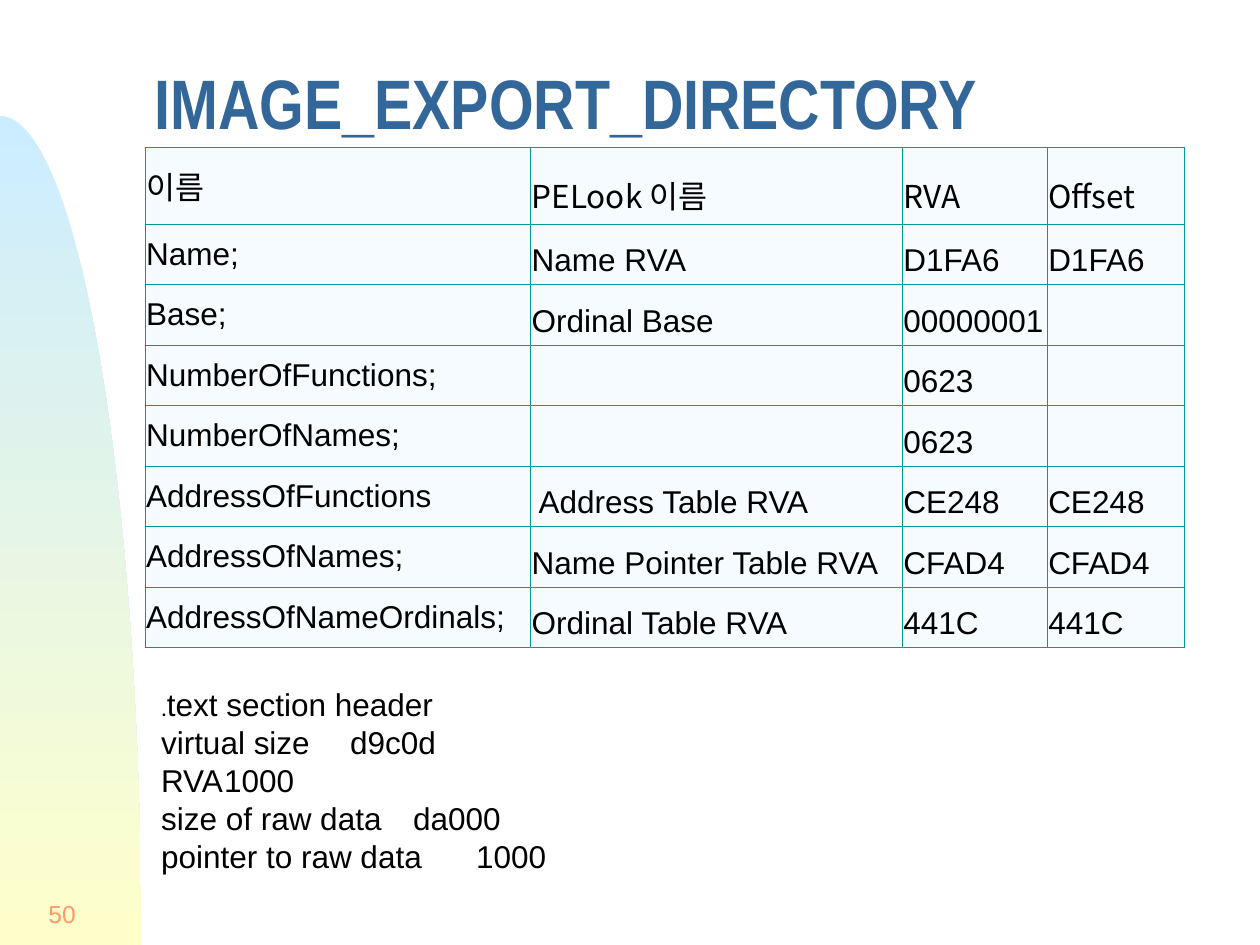
import math

import pptx
import pptx.util
import pptx.dml.color
import pptx.enum.text
import pptx.oxml
import pptx.oxml.ns
from pptx.util import Inches

# Content
TITLE = "IMAGE_EXPORT_DIRECTORY"
PAGE_NUMBER = "50"
HEADER = ("이름", "PELook 이름", "RVA", "Offset")
FIELDS = [
    ("Name;", "Name RVA", "D1FA6", "D1FA6"),
    ("Base;", "Ordinal Base", "00000001", ""),
    ("NumberOfFunctions;", "", "0623", ""),
    ("NumberOfNames;", "", "0623", ""),
    ("AddressOfFunctions", " Address Table RVA", "CE248", "CE248"),
    ("AddressOfNames;", "Name Pointer Table RVA", "CFAD4", "CFAD4"),
    ("AddressOfNameOrdinals;", "Ordinal Table RVA", "441C", "441C"),
]
SECTION_TITLE = (".", "text section header")
SECTION_VALUES = [
    ("virtual size", "d9c0d"),
    ("RVA", "1000"),
    ("size of raw data", "da000"),
    ("pointer to raw data", "1000"),
]

# Look
INK, BORDER, CELL = "010000", "009999", "F6FBFF"
KOREAN_FONT = "Noto Sans CJK KR"
COLUMN_WIDTHS = (3.06, 2.95, 1.15, 1.09)
HEADER_HEIGHT, ROW_HEIGHT = 0.61, 0.48
ANCHOR = pptx.enum.text.MSO_ANCHOR


def color(value):
    return pptx.dml.color.RGBColor.from_string(value)


def set_font(font, size, name="Arial", ink=INK, bold=False):
    font.size = pptx.util.Pt(size)
    font.name = name
    font.bold = bold
    font.color.rgb = color(ink)


def add_text_box(slide, left, top, width, height, anchor, wrap=True):
    box = slide.shapes.add_textbox(*map(Inches, (left, top, width, height)))
    frame = box.text_frame
    frame.word_wrap = wrap
    frame.vertical_anchor = anchor
    return frame


def add_side_curve(slide):
    """Quarter ellipse along the left edge, with a vertical gradient."""
    width, top, bottom, steps = 1.12, 0.92, 7.5, 60
    angles = [math.pi / 2 * step / steps for step in range(steps + 1)]
    points = [(Inches(width * math.sin(angle)),
               Inches(bottom - (bottom - top) * math.cos(angle)))
              for angle in angles]
    builder = slide.shapes.build_freeform(*points[0])
    builder.add_line_segments(points[1:] + [(0, Inches(bottom))], close=True)
    curve = builder.convert_to_shape()
    curve.shadow.inherit = False
    curve.line.fill.background()
    curve.fill.gradient()
    curve.fill.gradient_angle = 270
    for stop, value in zip(curve.fill.gradient_stops, ("CCECFF", "FFFFCC")):
        stop.color.rgb = color(value)


def add_borders(cell):
    properties = cell._tc.get_or_add_tcPr()
    for side in ("lnL", "lnR", "lnT", "lnB"):
        properties.append(pptx.oxml.parse_xml(
            f'<a:{side} {pptx.oxml.ns.nsdecls("a")} w="{pptx.util.Pt(0.45)}">'
            f'<a:solidFill><a:srgbClr val="{BORDER}"/></a:solidFill></a:{side}>'))


def add_field_table(slide):
    rows = [HEADER] + FIELDS
    heights = [HEADER_HEIGHT] + [ROW_HEIGHT] * len(FIELDS)
    table = slide.shapes.add_table(
        len(rows), len(HEADER), Inches(1.15), Inches(1.17),
        Inches(sum(COLUMN_WIDTHS)), Inches(sum(heights))).table
    for column, width in zip(table.columns, COLUMN_WIDTHS):
        column.width = Inches(width)
    for row_index, (texts, height) in enumerate(zip(rows, heights)):
        table.rows[row_index].height = Inches(height)
        for column_index, text in enumerate(texts):
            cell = table.cell(row_index, column_index)
            add_borders(cell)
            cell.fill.solid()
            cell.fill.fore_color.rgb = color(CELL)
            cell.margin_left = cell.margin_right = Inches(0.01)
            cell.margin_top = cell.margin_bottom = Inches(0.05)
            cell.vertical_anchor = ANCHOR.BOTTOM if column_index else ANCHOR.MIDDLE
            cell.text = text
            font_name = "Arial"
            if row_index == 0:
                font_name = KOREAN_FONT if column_index else "DejaVu Sans Mono"
            set_font(cell.text_frame.paragraphs[0].font, 18, font_name)


def main():
    presentation = pptx.Presentation()
    presentation.slide_width, presentation.slide_height = Inches(10), Inches(7.5)
    slide = presentation.slides.add_slide(presentation.slide_layouts[6])

    add_side_curve(slide)

    # Title
    paragraph = add_text_box(slide, 1.13, 0.36, 8.62, 1.05, ANCHOR.MIDDLE).paragraphs[0]
    paragraph.text = TITLE
    paragraph.line_spacing = 0.7
    set_font(paragraph.font, 40, "Arial Narrow", "336699", bold=True)

    add_field_table(slide)

    # Page number
    paragraph = add_text_box(slide, 0, 7, 0.7, 0.5, ANCHOR.MIDDLE).paragraphs[0]
    paragraph.text = PAGE_NUMBER
    paragraph.alignment = pptx.enum.text.PP_ALIGN.RIGHT
    set_font(paragraph.font, 14, ink="FF9966")

    # Section header values, on the default one-inch tab stops
    frame = add_text_box(slide, 1.18, 5.39, 3.75, 1.9, ANCHOR.TOP, wrap=False)
    styles = ((12, KOREAN_FONT), (18, "Arial"))
    for text, style in zip(SECTION_TITLE, styles):
        run = frame.paragraphs[0].add_run()
        run.text = text
        set_font(run.font, *style)
    for pair in SECTION_VALUES:
        paragraph = frame.add_paragraph()
        paragraph.text = "\t".join(pair)
        set_font(paragraph.font, 18)

    presentation.save("out.pptx")


if __name__ == "__main__":
    main()
